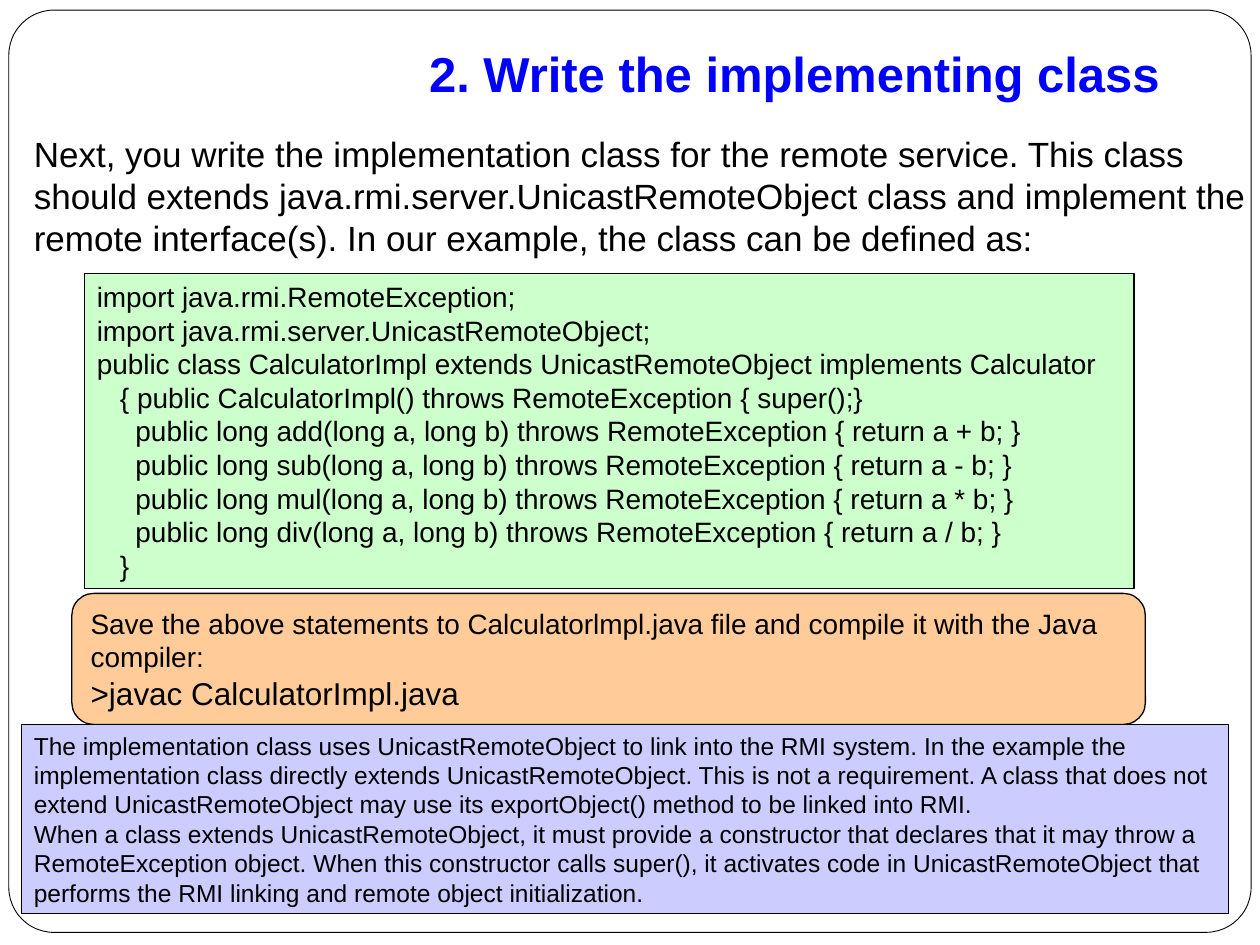
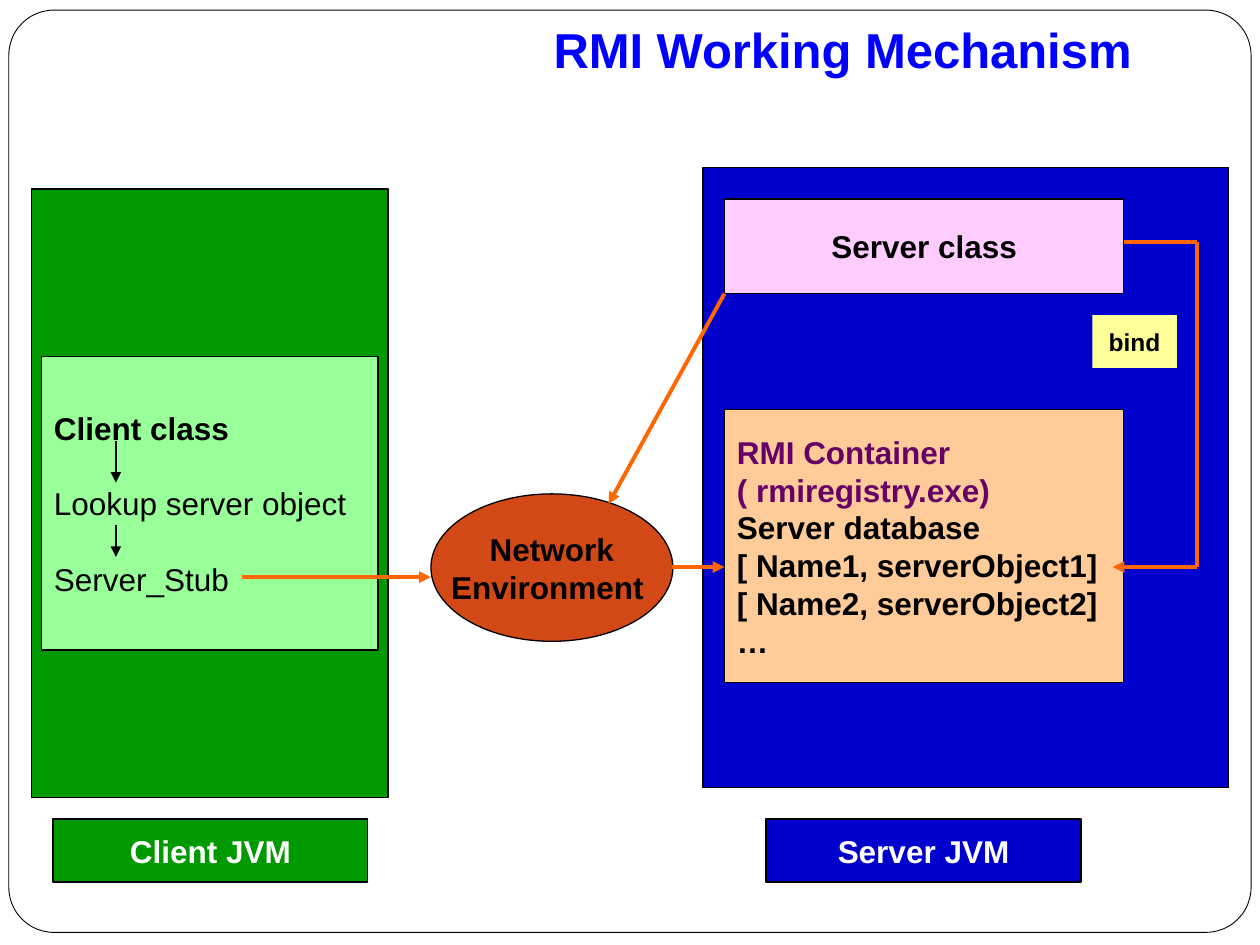
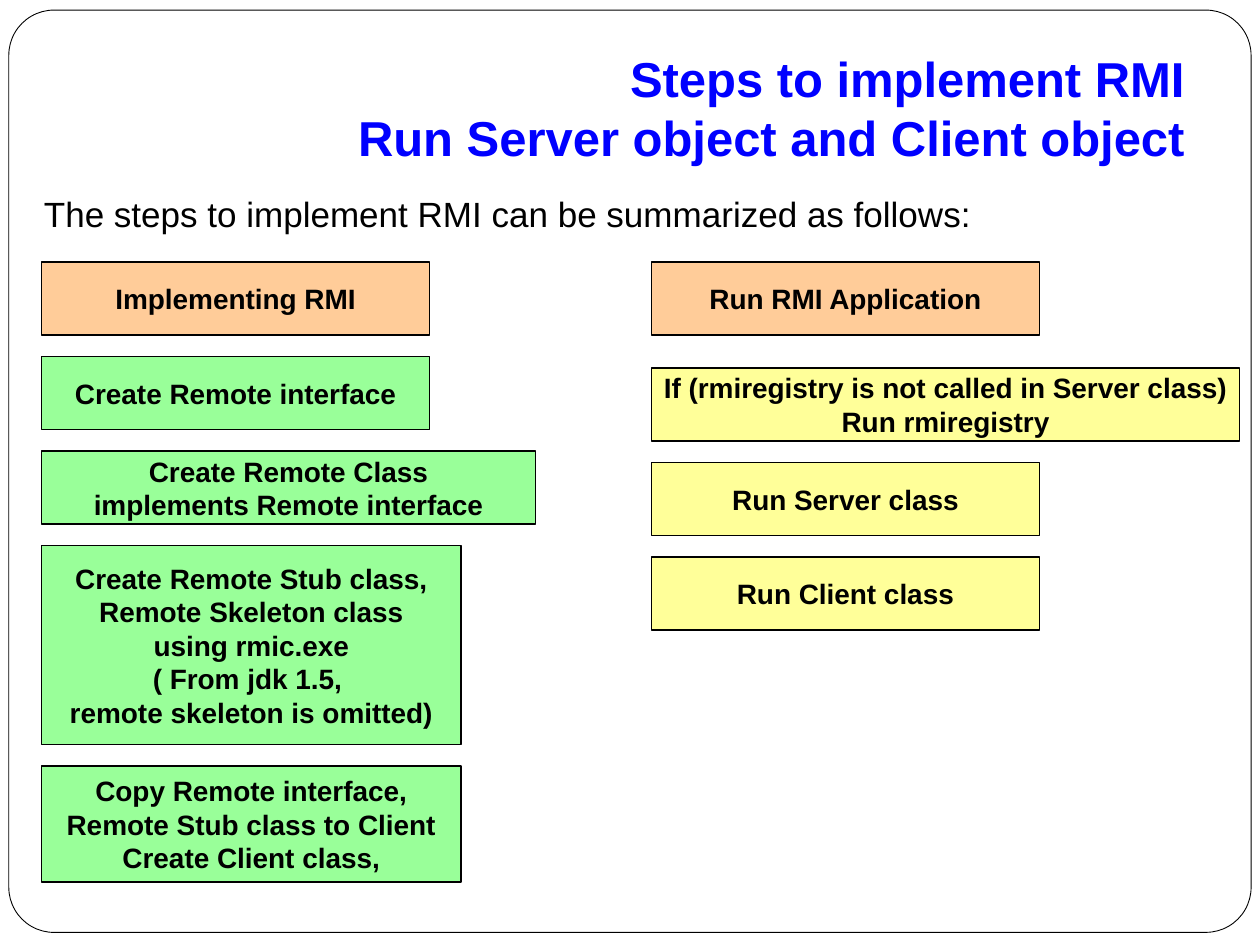
"""Build three slides on implementing and running Java RMI."""
from lxml import etree
from pptx import Presentation
from pptx.dml.color import RGBColor
from pptx.enum import shapes, text
from pptx.oxml import ns
from pptx.util import Inches, Pt

FONT = "Arial"
BLACK = RGBColor(0x00, 0x00, 0x00)
WHITE = RGBColor(0xFF, 0xFF, 0xFF)
TITLE_BLUE = RGBColor(0x00, 0x00, 0xFF)
SERVER_BLUE = RGBColor(0x00, 0x00, 0xCC)
CLIENT_GREEN = RGBColor(0x00, 0x99, 0x00)
LIGHT_GREEN = RGBColor(0x99, 0xFF, 0x99)
CODE_GREEN = RGBColor(0xCC, 0xFF, 0xCC)
PEACH = RGBColor(0xFF, 0xCC, 0x99)
LAVENDER = RGBColor(0xCC, 0xCC, 0xFF)
PINK = RGBColor(0xFF, 0xCC, 0xFF)
YELLOW = RGBColor(0xFF, 0xFF, 0x99)
RUST = RGBColor(0xD3, 0x48, 0x17)
ORANGE = RGBColor(0xFF, 0x66, 0x00)
PURPLE = RGBColor(0x66, 0x00, 0x66)

RECT = shapes.MSO_SHAPE.RECTANGLE
ROUNDED = shapes.MSO_SHAPE.ROUNDED_RECTANGLE
OVAL = shapes.MSO_SHAPE.OVAL
LEFT, CENTER, RIGHT = text.PP_ALIGN.LEFT, text.PP_ALIGN.CENTER, text.PP_ALIGN.RIGHT
TOP, MIDDLE, BOTTOM = text.MSO_ANCHOR.TOP, text.MSO_ANCHOR.MIDDLE, text.MSO_ANCHOR.BOTTOM

CODE = """import java.rmi.RemoteException;
import java.rmi.server.UnicastRemoteObject;
public class CalculatorImpl extends UnicastRemoteObject implements Calculator
   { public CalculatorImpl() throws RemoteException { super();}
     public long add(long a, long b) throws RemoteException { return a + b; }
     public long sub(long a, long b) throws RemoteException { return a - b; }
     public long mul(long a, long b) throws RemoteException { return a * b; }
     public long div(long a, long b) throws RemoteException { return a / b; }
   }"""


def write_line(frame, content, size=18, color=BLACK, bold=False, align=LEFT, before=0):
    """Add one formatted paragraph, filling the empty first one if there is one."""
    para = frame.add_paragraph() if frame.text else frame.paragraphs[0]
    para.text = content
    para.alignment = align
    if before:
        para.space_before = Pt(before)
    for span in para.runs:
        span.font.name = FONT
        span.font.size = Pt(size)
        span.font.bold = bold
        span.font.color.rgb = color


class Slides:
    """Holds the deck, its shared style and the current page."""

    def __init__(self):
        """Start an empty 10 by 7.5 inch deck."""
        self.deck = Presentation()
        self.deck.slide_width, self.deck.slide_height = Inches(10), Inches(7.5)
        self.page = None

    def new_page(self):
        """Add a page with the rounded border."""
        self.page = self.deck.slides.add_slide(self.deck.slide_layouts[6])
        self.box(0.07, 0.08, 9.86, 7.32, WHITE, kind=ROUNDED, line=0.5, corner=0.049)

    def title(self, left, top, width, height, content):
        """Add the right-aligned slide title."""
        frame = self.text(left, top, width, height, anchor=BOTTOM)
        frame.margin_bottom = Inches(0.1)
        write_line(frame, content, size=28, color=TITLE_BLUE, bold=True, align=RIGHT)

    def text(self, left, top, width, height, content="", anchor=TOP, **style):
        """Add a wrapping text box and return its frame."""
        box = self.page.shapes.add_textbox(*map(Inches, (left, top, width, height)))
        return self.fill_frame(box.text_frame, content, anchor, True, style)

    def box(self, left, top, width, height, fill, content="", kind=RECT, line=0.75,
            corner=None, anchor=MIDDLE, wrap=False, **style):
        """Add a filled shape and return its text frame."""
        box = self.page.shapes.add_shape(kind, *map(Inches, (left, top, width, height)))
        box.shadow.inherit = False
        box.fill.solid()
        box.fill.fore_color.rgb = fill
        if line:
            box.line.color.rgb = BLACK
            box.line.width = Pt(line)
        else:
            box.line.fill.background()
        if corner:
            box.adjustments[0] = corner
        return self.fill_frame(box.text_frame, content, anchor, wrap, style)

    def fill_frame(self, frame, content, anchor, wrap, style):
        """Set a frame's layout and write each line as a paragraph."""
        frame.word_wrap = wrap
        frame.vertical_anchor = anchor
        for line in content.splitlines():
            write_line(frame, line, **style)
        return frame

    def label(self, left, top, width, height, fill, content, size=18, color=BLACK, **options):
        """Add a shape with bold centred text."""
        self.box(left, top, width, height, fill, content, size=size, color=color,
                 bold=True, align=CENTER, **options)

    def stack(self, left, top, steps, gap=0.17):
        """Place step labels below one another at an equal gap."""
        for width, height, fill, content in steps:
            self.label(left, top, width, height, fill, content, size=16)
            top += height + gap

    def line(self, *ends, color=ORANGE, width=2.25, arrow=True):
        """Draw a straight line from x, y to x, y."""
        line = self.page.shapes.add_connector(
            shapes.MSO_CONNECTOR.STRAIGHT, *map(Inches, ends))
        line.line.color.rgb = color
        line.line.width = Pt(width)
        if arrow:
            etree.SubElement(line.line._get_or_add_ln(), ns.qn("a:tailEnd"), type="triangle")
        etree.SubElement(line._element.spPr, ns.qn("a:effectLst"))


def implementing_class(slides):
    """Show the code of the implementing class and how to compile it."""
    slides.new_page()
    slides.title(0.33, 0.38, 9.08, 0.53, "2. Write the implementing class ")
    slides.text(0.17, 1, 9.83, 1.1,
                "Next, you write the implementation class for the remote service. This class "
                "should extends java.rmi.server.UnicastRemoteObject class and implement the "
                "remote interface(s). In our example, the class can be defined as:", size=20)
    slides.box(0.67, 2.17, 8.33, 2.5, CODE_GREEN, CODE, anchor=TOP, wrap=True, size=16)
    compile_note = slides.box(
        0.57, 4.71, 8.52, 1.04, PEACH,
        "Save the above statements to Calculatorlmpl.java file and compile it with the Java "
        "compiler:", kind=ROUNDED, corner=0.167, wrap=True, size=16)
    write_line(compile_note, ">javac CalculatorImpl.java")
    slides.box(0.17, 5.75, 9.58, 1.5, LAVENDER,
               "The implementation class uses UnicastRemoteObject to link into the RMI system. "
               "In the example the implementation class directly extends UnicastRemoteObject. "
               "This is not a requirement. A class that does not extend UnicastRemoteObject may "
               "use its exportObject() method to be linked into RMI.\n"
               "When a class extends UnicastRemoteObject, it must provide a constructor that "
               "declares that it may throw a RemoteException object. When this constructor calls "
               "super(), it activates code in UnicastRemoteObject that performs the RMI linking "
               "and remote object initialization.", anchor=TOP, wrap=True, size=14)


def working_mechanism(slides):
    """Show how client, network and server work together."""
    slides.new_page()
    slides.box(5.58, 1.33, 4.17, 4.92, SERVER_BLUE)
    slides.box(0.25, 1.5, 2.83, 4.83, CLIENT_GREEN)
    slides.title(0.75, 0.25, 8.33, 0.47, "RMI Working Mechanism")

    client = slides.box(0.33, 2.83, 2.67, 2.33, LIGHT_GREEN, "Client class", bold=True)
    for step in ("Lookup server object", "Server_Stub"):
        write_line(client, step, before=21.5)
    slides.label(5.75, 1.58, 3.17, 0.75, PINK, "Server class")
    container = slides.box(5.75, 3.25, 3.17, 2.17, PEACH,
                           "RMI Container\n( rmiregistry.exe)", color=PURPLE, bold=True)
    for entry in ("Server database", "[ Name1, serverObject1]", "[ Name2, serverObject2]", "…"):
        write_line(container, entry, bold=True)
    slides.label(8.67, 2.5, 0.67, 0.42, YELLOW, "bind", size=14, line=0)

    slides.line(8.92, 1.92, 9.5, 1.92, arrow=False)
    slides.line(9.5, 1.92, 9.5, 4.5, arrow=False)
    slides.line(9.5, 4.5, 8.83, 4.5)
    slides.label(3.42, 3.92, 1.92, 1.17, RUST, "Network\nEnvironment ", kind=OVAL)
    slides.line(1.92, 4.58, 3.42, 4.58)
    slides.line(5.33, 4.5, 5.75, 4.5)
    for start, end in ((3.5, 3.83), (4.17, 4.42)):
        slides.line(0.92, start, 0.92, end, color=BLACK, width=0.75)
    for left, fill, name in ((0.42, CLIENT_GREEN, "Client JVM"),
                             (6.08, SERVER_BLUE, "Server JVM")):
        slides.label(left, 6.5, 2.5, 0.5, fill, name, color=WHITE)
    slides.line(5.75, 2.33, 4.83, 4)


def steps_summary(slides):
    """List the steps to implement and to run an RMI application."""
    slides.new_page()
    slides.title(0.5, 0.33, 9, 1.09,
                 "Steps to implement RMI\nRun Server object and Client object")
    slides.stack(0.33, 2.08, (
        (3.08, 0.58, PEACH, "Implementing RMI"),
        (3.08, 0.58, LIGHT_GREEN, "Create Remote interface"),
        (3.92, 0.58, LIGHT_GREEN, "Create Remote Class\nimplements Remote interface"),
        (3.33, 1.58, LIGHT_GREEN,
         "Create Remote Stub class,\nRemote Skeleton class\nusing rmic.exe\n"
         "( From jdk 1.5, \nremote skeleton is omitted)"),
        (3.33, 0.92, LIGHT_GREEN,
         "Copy Remote interface,\nRemote Stub class to Client\nCreate Client class,"),
    ))
    slides.label(5.17, 2.08, 3.08, 0.58, PEACH, "Run RMI Application", size=16)
    slides.stack(5.17, 2.92, (
        (4.67, 0.58, YELLOW, "If (rmiregistry is not called in Server class)\nRun rmiregistry"),
        (3.08, 0.58, YELLOW, "Run Server class"),
        (3.08, 0.58, YELLOW, "Run Client class"),
    ))
    slides.text(0.25, 1.48, 9.25, 0.44,
                "The steps to implement RMI can be summarized as follows:", size=20)


def main():
    """Build and save the deck."""
    slides = Slides()
    implementing_class(slides)
    working_mechanism(slides)
    steps_summary(slides)
    slides.deck.save("out.pptx")


if __name__ == "__main__":
    main()
